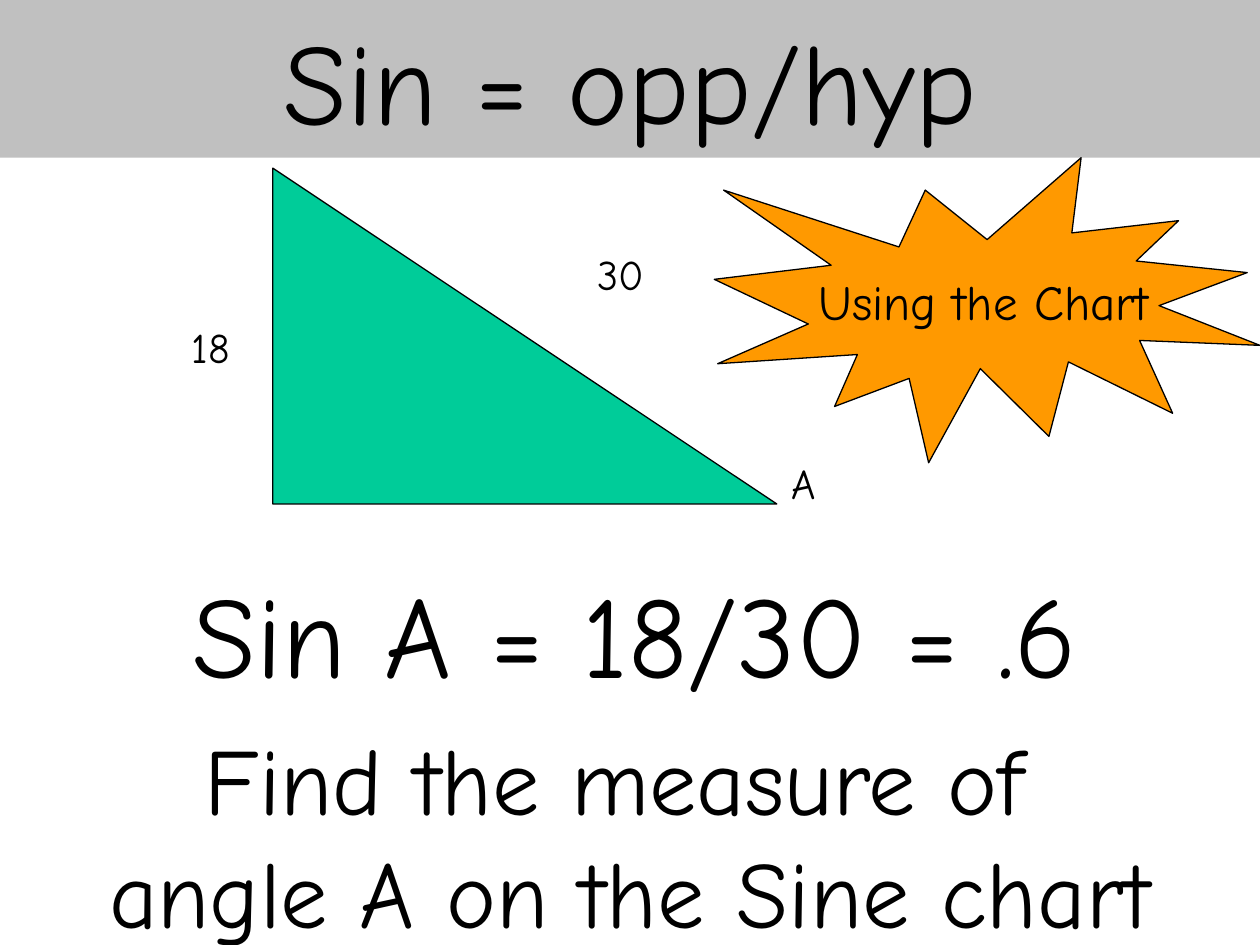
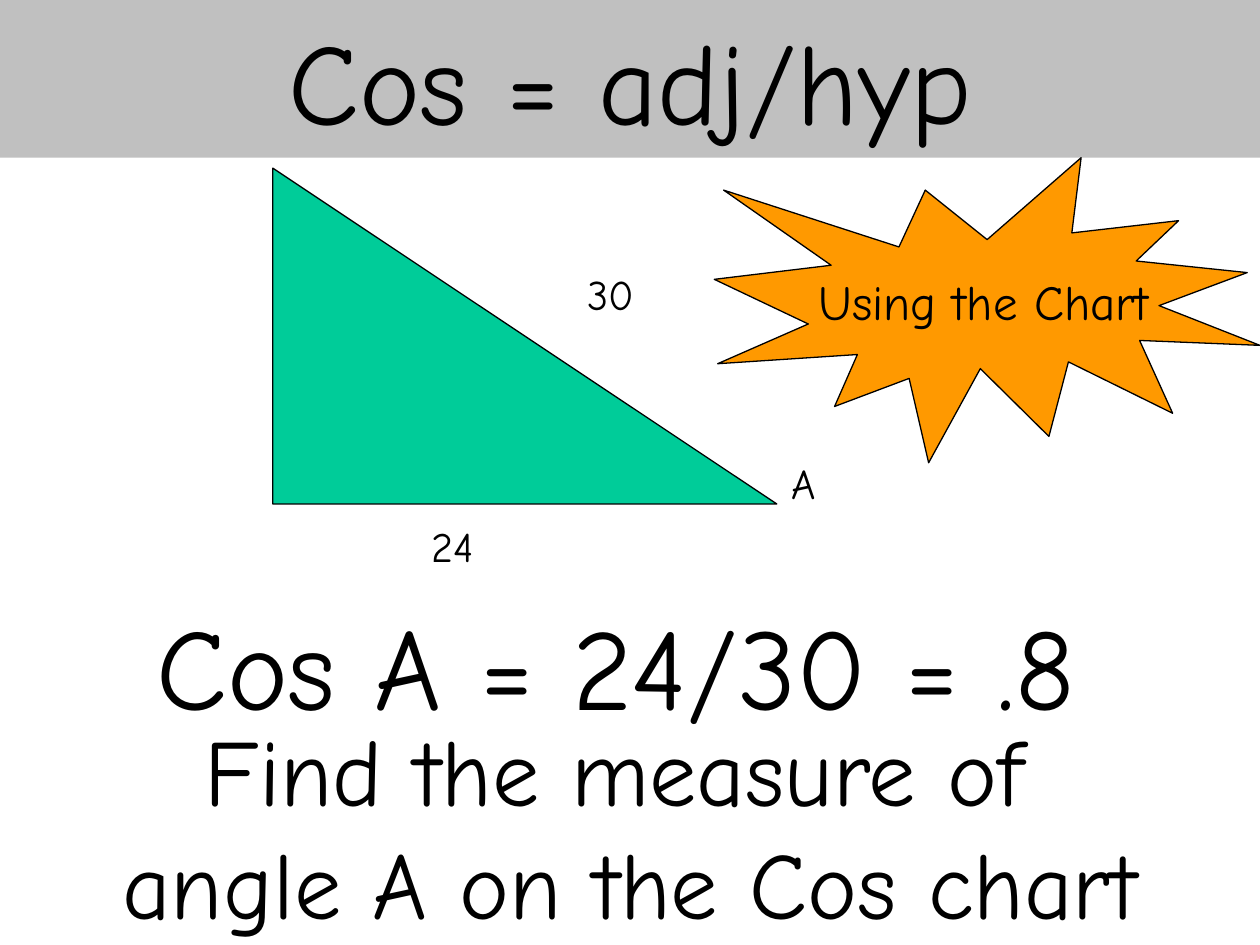
import pptx
import pptx.dml.color
import pptx.enum.shapes
import pptx.enum.text
import pptx.util

Cm, Pt = pptx.util.Cm, pptx.util.Pt
Shape = pptx.enum.shapes.MSO_SHAPE
Text = pptx.enum.text

FONT = "Comic Neue"
COLORS = {"ink": "000000", "band": "C0C0C0", "leg": "00CC99", "burst": "FF9900"}

# Lengths are in centimetres; each label is (text, left, top, width).
LESSONS = [
    {
        "title": "Sin = opp/hyp",
        "sum": ("Sin A = 18/30 = .6", 11.23),
        "task": ("Find the measure of \vangle A on the Sine chart", 14.4),
        "labels": [("30", 11, 4.88, 3.02), ("18", 2.74, 6.35, 3.02)],
    },
    {
        "title": "Cos = adj/hyp",
        "sum": ("Cos A = 24/30 = .8 ", 11.86),
        "task": ("Find the measure of \vangle A on the Cos chart", 14.22),
        "labels": [("30", 10.8, 5.28, 3.02), ("24", 7.62, 10.36, 3.02)],
    },
]
ANGLE = ("A", 15.44, 9.09, 1.52)
BURST = "Using the Chart"

WIDE, HIGH = 25.4, 19.05
BAND = (0, 0, WIDE, 3.18)
LEGS = (5.5, 3.39, 10.16, 6.77)
STAR = (14.4, 3.18, 11, 6.15)

FRAME = {
    "auto_size": Text.MSO_AUTO_SIZE.NONE,
    "margin_left": Cm(0.25),
    "margin_right": Cm(0.25),
    "margin_top": Cm(0.13),
    "margin_bottom": Cm(0.13),
}


def tint(name):
    return pptx.dml.color.RGBColor.from_string(COLORS[name])


def apply(thing, values):
    for key, value in values.items():
        setattr(thing, key, value)


def place(shape, box):
    apply(shape, dict(zip(("left", "top", "width", "height"), map(Cm, box))))


def paint(shape, color):
    shape.fill.solid()
    shape.fill.fore_color.rgb = tint(color)


def write(shape, text, size, anchor=Text.MSO_ANCHOR.TOP, wrap=True):
    frame = shape.text_frame
    apply(frame, {**FRAME, "vertical_anchor": anchor, "word_wrap": wrap})
    line = frame.paragraphs[0]
    line.text = text
    apply(line, {"alignment": Text.PP_ALIGN.CENTER, "line_spacing": 1.0,
                 "space_before": Pt(0)})
    for run in line.runs:
        apply(run.font, {"name": FONT, "size": Pt(size)})
        run.font.color.rgb = tint("ink")


def note(slide, text, size, box):
    write(slide.shapes.add_textbox(*map(Cm, box)), text, size)


def draw(slide, kind, box, color):
    shape = slide.shapes.add_shape(kind, *map(Cm, box))
    shape.shadow.inherit = False
    paint(shape, color)
    shape.line.color.rgb = tint("ink")
    shape.line.width = Pt(0.75)
    return shape


def build(deck, lesson):
    slide = deck.slides.add_slide(deck.slide_layouts[5])
    title = slide.shapes.title
    place(title, BAND)
    paint(title, "band")
    write(title, lesson["title"], 66, Text.MSO_ANCHOR.MIDDLE)

    draw(slide, Shape.RIGHT_TRIANGLE, LEGS, "leg")
    for text, left, top, width in lesson["labels"] + [ANGLE]:
        note(slide, text, 24, (left, top, width, 1.78))

    text, top = lesson["sum"]
    note(slide, text, 66, (0.2, top, WIDE - 0.2, 3.05))
    text, top = lesson["task"]
    note(slide, text, 54, (0, top, WIDE, 4.83))

    star = draw(slide, Shape.EXPLOSION1, STAR, "burst")
    write(star, BURST, 28, Text.MSO_ANCHOR.MIDDLE, wrap=False)


def main():
    deck = pptx.Presentation()
    apply(deck, {"slide_width": Cm(WIDE), "slide_height": Cm(HIGH)})
    for lesson in LESSONS:
        build(deck, lesson)
    deck.save("out.pptx")


if __name__ == "__main__":
    main()
